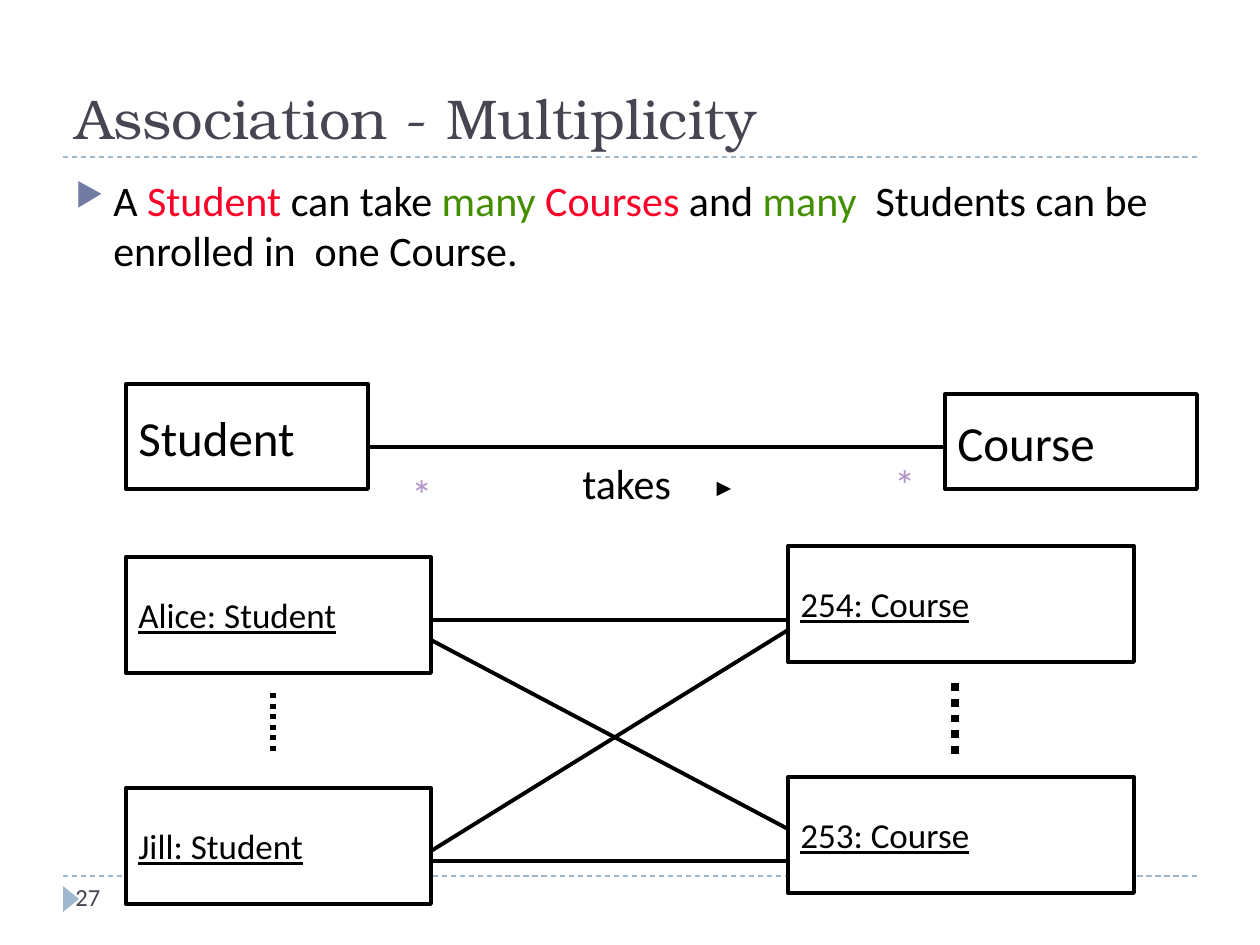
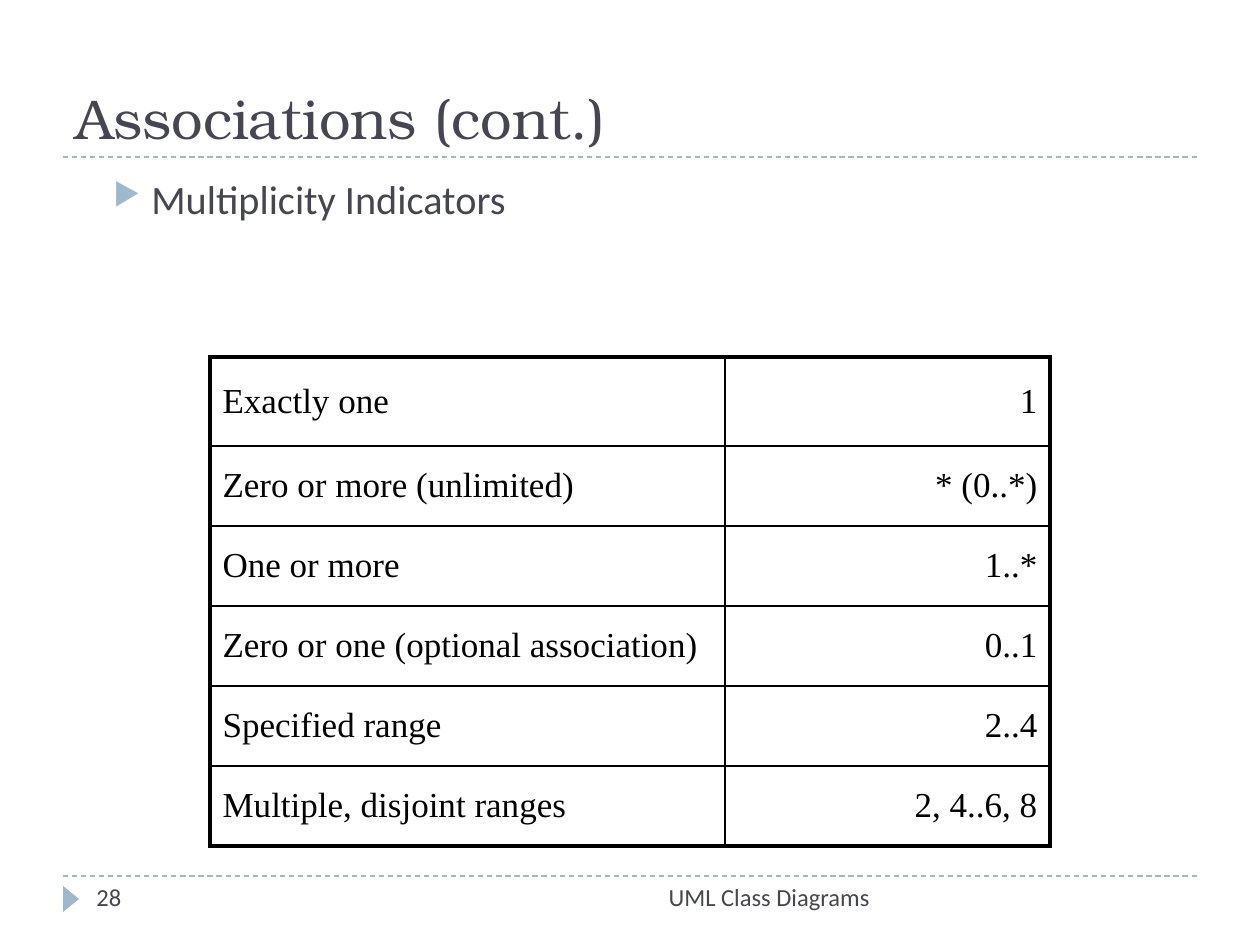
import lxml.etree
import pptx
import pptx.dml.color
import pptx.enum.dml
import pptx.enum.shapes
import pptx.enum.text
import pptx.oxml.ns
import pptx.util

RGB = pptx.dml.color.RGBColor
SHAPE = pptx.enum.shapes.MSO_SHAPE
ALIGN = pptx.enum.text.PP_ALIGN
ANCHOR = pptx.enum.text.MSO_ANCHOR
DASH = pptx.enum.dml.MSO_LINE

BLACK = RGB(0x00, 0x00, 0x00)
WHITE = RGB(0xFF, 0xFF, 0xFF)
SLATE = RGB(0x46, 0x46, 0x53)
PALE_BLUE = RGB(0x9F, 0xB8, 0xCD)
INDIGO = RGB(0x72, 0x7C, 0xA3)
RED = RGB(0xFC, 0x01, 0x28)
GREEN = RGB(0x43, 0x8E, 0x00)
LILAC = RGB(0xB2, 0x92, 0xCA)

TITLE_FONT = {"name": "TeX Gyre Bonum", "size": pptx.util.Pt(32)}
FOOTER_FONT = {"name": "Calibri", "size": pptx.util.Pt(14)}
BODY_FONT = {"name": "Calibri", "size": pptx.util.Pt(24)}
SUBPOINT_FONT = {"name": "Calibri", "size": pptx.util.Pt(23)}
CLASS_FONT = {"name": "Calibri", "size": pptx.util.Pt(28)}
OBJECT_FONT = {"name": "Calibri", "size": pptx.util.Pt(20), "underline": True}
TABLE_FONT = {"name": "Times New Roman", "size": pptx.util.Pt(20)}

EMU_PER_PX = 914400 / 126
TITLE_BOX = (63, 21, 1134, 136)
BODY_BOX = (63, 168, 1134, 680)
FOOTER_BOX = (63, 876, 1134, 50)
DIAGRAM_BOX = (126, 384, 1071, 520)
TABLE_BOX = (210, 357, 840, 489)

INDICATORS = [
    ("Exactly one", "1"),
    ("Zero or more (unlimited)", "* (0..*)"),
    ("One or more", "1..*"),
    ("Zero or one (optional association)", "0..1"),
    ("Specified range", "2..4"),
    ("Multiple, disjoint ranges", "2, 4..6, 8"),
]


def emu(*lengths):
    """Turn px lengths into EMU."""
    return [pptx.util.Emu(round(length * EMU_PER_PX)) for length in lengths]


def apply(target, values):
    """Set every attribute in a dict of format values."""
    for name, value in values.items():
        setattr(target, name, value)


def add_element(parent, tag, **attributes):
    """Append a DrawingML element."""
    element = lxml.etree.SubElement(parent, pptx.oxml.ns.qn(tag))
    for name, value in attributes.items():
        element.set(name, value)
    return element


def write(para, spans, font, align=ALIGN.LEFT):
    """Write coloured spans into a paragraph."""
    para.alignment = align
    for text, color in spans:
        span = para.add_run()
        span.text = text
        apply(span.font, font)
        span.font.color.rgb = color


def add_text(page, box, spans, font, anchor=ANCHOR.TOP, align=ALIGN.LEFT):
    """Add a wrapped text box and return its paragraph."""
    frame = page.shapes.add_textbox(*emu(*box)).text_frame
    apply(frame, {"word_wrap": True, "vertical_anchor": anchor})
    write(frame.paragraphs[0], spans, font, align)
    return frame.paragraphs[0]


def add_line(page, start, end, color=BLACK, width=2.25, dash=None):
    """Add a straight line between two points."""
    line = page.shapes.add_connector(
        pptx.enum.shapes.MSO_CONNECTOR.STRAIGHT, *emu(*start, *end))
    add_element(line.element.spPr, "a:effectLst")
    line.line.color.rgb = color
    apply(line.line, {"width": pptx.util.Pt(width), "dash_style": dash})
    return line


def add_bullet(para, color, left, hang):
    """Give a paragraph a hanging triangle bullet."""
    properties = para._p.get_or_add_pPr()
    margin, indent = emu(left, -hang)
    properties.set("marL", str(margin))
    properties.set("indent", str(indent))
    bullet_color = add_element(properties, "a:buClr")
    add_element(bullet_color, "a:srgbClr", val=str(color))
    add_element(properties, "a:buSzPct", val="76000")
    add_element(properties, "a:buChar", char="▶")


def add_frame(page, title, number, number_left, footer=None):
    """Add the rules, marker, footer and title shared by the slides."""
    left, top, width, height = FOOTER_BOX
    for y in (top, TITLE_BOX[1] + TITLE_BOX[3]):
        add_line(page, (left, y), (left + width, y), PALE_BLUE, 0.75, DASH.DASH)
    marker = page.shapes.add_shape(
        SHAPE.ISOSCELES_TRIANGLE, *emu(left - 5, top + 15, 26, 16))
    marker.rotation = 90
    marker.shadow.inherit = False
    marker.fill.solid()
    marker.fill.fore_color.rgb = PALE_BLUE
    marker.line.fill.background()
    if footer:
        add_text(page, (left + 336, top, 483, height), [(footer, SLATE)],
                 FOOTER_FONT, align=ALIGN.RIGHT)
    add_text(page, (left + number_left, top, 273, height),
             [(number, SLATE)], FOOTER_FONT)
    add_text(page, TITLE_BOX, [(title, SLATE)], TITLE_FONT, ANCHOR.BOTTOM)


def add_uml_box(page, box, label, font):
    """Add an outlined UML box with a label at its left."""
    shape = page.shapes.add_shape(SHAPE.RECTANGLE, *emu(*box))
    shape.shadow.inherit = False
    shape.fill.solid()
    shape.fill.fore_color.rgb = WHITE
    shape.line.color.rgb = BLACK
    shape.line.width = pptx.util.Pt(2.25)
    frame = shape.text_frame
    apply(frame, {"word_wrap": True, "vertical_anchor": ANCHOR.MIDDLE})
    write(frame.paragraphs[0], [(label, BLACK)], font)


def add_class_diagram(page, box):
    """Draw the two classes, their association and sample objects."""
    left, top, width, height = box

    def place(x, y, *size):
        """Move a position into the diagram box."""
        return (left + x, top + y, *size)

    add_uml_box(page, place(0, 0, 242, 105), "Student", CLASS_FONT)
    add_uml_box(page, place(width - 252, 10, 252, 95), "Course", CLASS_FONT)
    add_line(page, place(242, 63), place(width - 252, 63))
    add_text(page, place(444, 67, 125, 63), [("takes", BLACK)], BODY_FONT)
    arrow = add_line(page, place(599, 105), place(605, 105), width=2.75)
    add_element(arrow.line._get_or_add_ln(), "a:tailEnd", type="triangle")
    for x, y in ((273, 78), (756, 68)):
        add_text(page, place(x, y, 54, 63), [("*", LILAC)], BODY_FONT)

    for x, y, object_width, labels in (
            (0, 173, 305, ("Alice: Student", "Jill: Student")),
            (662, 162, 346, ("254: Course", "253: Course"))):
        for row, label in enumerate(labels):
            add_uml_box(page, place(x, y + 231 * row, object_width, 116),
                        label, OBJECT_FONT)
    for start, end in ((236, 236), (467, 246), (256, 445), (477, 477)):
        add_line(page, place(305, start), place(662, end))
    for x, y, line_width in ((147, 309, 3), (829, 299, 4.5)):
        add_line(page, place(x, y), place(x, 372), BLACK, line_width,
                 DASH.ROUND_DOT)


def add_borders(cell, widths):
    """Draw black cell borders from a dict of side and width."""
    properties = cell._tc.get_or_add_tcPr()
    for side, width in widths.items():
        line = add_element(properties, f"a:ln{side}",
                           w=str(int(pptx.util.Pt(width))))
        fill = add_element(line, "a:solidFill")
        add_element(fill, "a:srgbClr", val=str(BLACK))


def add_indicator_table(page, box):
    """Add the table of multiplicity indicators."""
    left, top, width, height = box
    last = len(INDICATORS) - 1
    table = page.shapes.add_table(
        len(INDICATORS), 2, *emu(left, top, width, height)).table
    apply(table, {"first_row": False, "horz_banding": False})
    for column, size in zip(table.columns, emu(515, width - 515)):
        column.width = size
    for row, size in zip(table.rows, emu(height - 80 * last, *[80] * last)):
        row.height = size
    for i, texts in enumerate(INDICATORS):
        for j, text in enumerate(texts):
            cell = table.cell(i, j)
            outer = {"L": j == 0, "R": j == 1, "T": i == 0, "B": i == last}
            add_borders(cell, {side: 2.25 if edge else 1
                               for side, edge in outer.items()})
            cell.fill.background()
            cell.vertical_anchor = ANCHOR.MIDDLE
            write(cell.text_frame.paragraphs[0], [(text, BLACK)], TABLE_FONT,
                  ALIGN.RIGHT if j else ALIGN.LEFT)


def build_multiplicity(page):
    """Build the slide on association multiplicity."""
    add_frame(page, "Association - Multiplicity", "27", 0)
    para = add_text(page, BODY_BOX, [
        ("A ", BLACK), ("Student ", RED), ("can take ", BLACK),
        ("many ", GREEN), ("Courses ", RED), ("and ", BLACK), ("many", GREEN),
        ("  Students can be enrolled in  one Course.", BLACK)], BODY_FONT)
    add_bullet(para, INDIGO, 38, 38)
    add_class_diagram(page, DIAGRAM_BOX)


def build_indicators(page):
    """Build the slide with the multiplicity indicators."""
    add_frame(page, "Associations (cont.)", "28", 21, "UML Class Diagrams")
    para = add_text(page, BODY_BOX, [("Multiplicity Indicators", SLATE)],
                    SUBPOINT_FONT)
    add_bullet(para, PALE_BLUE, 76, 38)
    add_indicator_table(page, TABLE_BOX)


def main():
    """Build and save the deck."""
    deck = pptx.Presentation()
    deck.slide_width, deck.slide_height = emu(1260, 945)
    for build in (build_multiplicity, build_indicators):
        build(deck.slides.add_slide(deck.slide_layouts[6]))
    deck.save("out.pptx")


if __name__ == "__main__":
    main()
